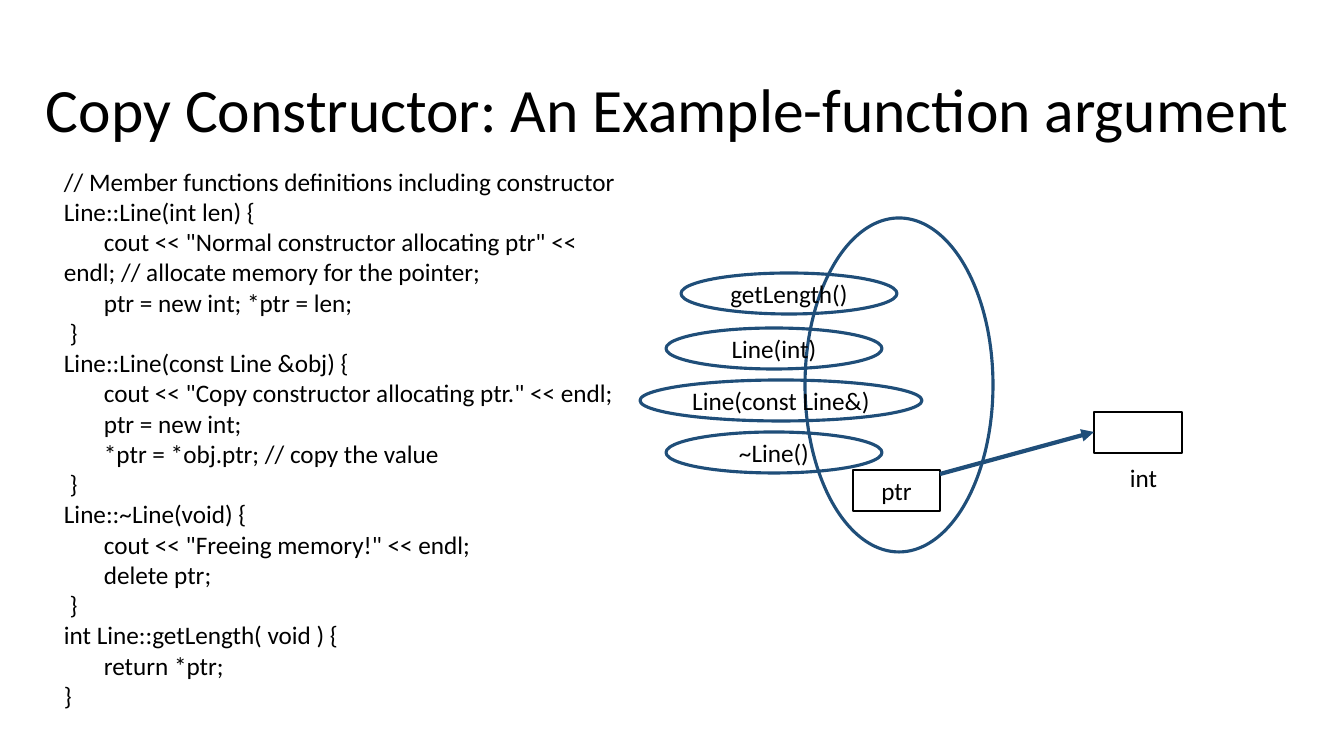
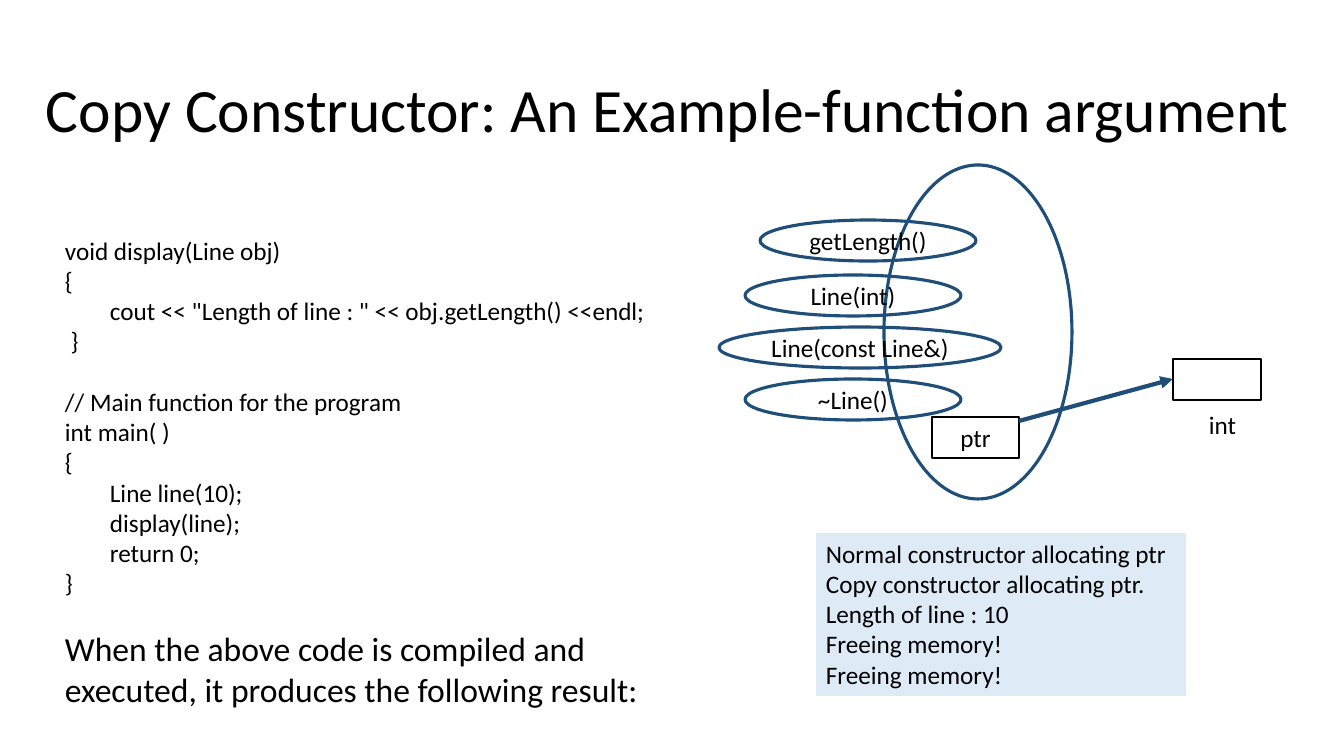
"""Build two slides that explain a copy constructor with code and an object diagram."""
from dataclasses import dataclass

from lxml import etree
from pptx import Presentation
from pptx.dml.color import RGBColor
from pptx.enum.shapes import MSO_CONNECTOR, MSO_SHAPE
from pptx.enum.text import MSO_ANCHOR, PP_ALIGN
from pptx.oxml.ns import qn
from pptx.shapes.autoshape import Shape
from pptx.slide import Slide
from pptx.util import Emu, Pt

OVAL, RECT = MSO_SHAPE.OVAL, MSO_SHAPE.RECTANGLE
STRAIGHT = MSO_CONNECTOR.STRAIGHT
LEFT, CENTER = PP_ALIGN.LEFT, PP_ALIGN.CENTER
TOP, MIDDLE = MSO_ANCHOR.TOP, MSO_ANCHOR.MIDDLE

EMU_PER_PX = 914400 / 100.8
FONT = "Calibri"
BLACK, NAVY, PALE = "000000", "1F4E79", "DEEBF7"
BODY_SIZE, NOTE_SIZE, TITLE_SIZE = 18, 24, 44
BLANK_LINE = 21.6
TITLE = "Copy Constructor: An Example-function argument"


@dataclass(frozen=True)
class Box:
    """A rectangle in pixels."""
    x: int
    y: int
    w: int
    h: int

    def moved(self, dx: int, dy: int) -> "Box":
        """Return the box shifted by an offset."""
        return Box(self.x + dx, self.y + dy, self.w, self.h)


@dataclass(frozen=True)
class Para:
    """A paragraph with its first-line indent in pixels and space before in points."""
    text: str
    indent: int = 0
    before: float = 0
    size: int = BODY_SIZE


@dataclass(frozen=True)
class Node:
    """An outlined or filled shape of the diagram."""
    box: Box
    kind: MSO_SHAPE
    text: str = ""
    line: str = NAVY
    weight: float = 2.25
    anchor: MSO_ANCHOR = MIDDLE


MEMBER_H = 41
NODES = [
    Node(Box(805, 218, 188, 334), OVAL),
    Node(Box(853, 470, 87, 41), RECT, "ptr", BLACK, 1.5, TOP),
    Node(Box(681, 273, 216, MEMBER_H), OVAL, "getLength()"),
    Node(Box(666, 328, 216, MEMBER_H), OVAL, "Line(int)"),
    Node(Box(640, 380, 282, MEMBER_H), OVAL, "Line(const Line&)"),
    Node(Box(666, 432, 216, MEMBER_H), OVAL, "~Line()"),
    Node(Box(1094, 412, 88, 41), RECT, "", BLACK, 1.5),
]
INT_LABEL = Box(1120, 457, 67, 40)
ARROW = Box(940, 474, 154, -42)

STEP = 40
MEMBER_CODE = [
    Para("// Member functions definitions including constructor"),
    Para("Line::Line(int len) {"),
    Para('cout << "Normal constructor allocating ptr" << endl; '
         "// allocate memory for the pointer;", STEP),
    Para("ptr = new int; *ptr = len;", STEP),
    Para(" }"),
    Para("Line::Line(const Line &obj) {"),
    Para('cout << "Copy constructor allocating ptr." << endl;', STEP),
    Para("ptr = new int;", STEP),
    Para("*ptr = *obj.ptr; // copy the value", STEP),
    Para(" }"),
    Para("Line::~Line(void) {"),
    Para('cout << "Freeing memory!" << endl;', STEP),
    Para("delete ptr;", STEP),
    Para(" }"),
    Para("int Line::getLength( void ) {"),
    Para("return *ptr;", STEP),
    Para("}"),
]

MAIN_STEP = 45
MAIN_CODE = [
    Para("void display(Line obj)"),
    Para("{"),
    Para('cout << "Length of line : " << obj.getLength() <<endl;', MAIN_STEP),
    Para(" }"),
    Para("// Main function for the program", before=BLANK_LINE),
    Para("int main( )"),
    Para("{"),
    Para("Line line(10);", MAIN_STEP),
    Para("display(line);", MAIN_STEP),
    Para("return 0;", MAIN_STEP),
    Para("}"),
    Para("When the above code is compiled and executed, "
         "it produces the following result:", before=BLANK_LINE, size=NOTE_SIZE),
]
OUTPUT = [
    Para("Normal constructor allocating ptr"),
    Para("Copy constructor allocating ptr."),
    Para("Length of line : 10"),
    Para("Freeing memory!"),
    Para("Freeing memory!"),
]


def px(value: int) -> Emu:
    """Convert pixels to EMU."""
    return Emu(round(value * EMU_PER_PX))


def rgb(value: str) -> RGBColor:
    """Convert a hex string to a colour."""
    return RGBColor.from_string(value)


def place(box: Box) -> tuple[Emu, Emu, Emu, Emu]:
    """Return the left, top, width and height of a box in EMU."""
    return px(box.x), px(box.y), px(box.w), px(box.h)


def write(sp: Shape, paras: list[Para], align: PP_ALIGN = LEFT,
          anchor: MSO_ANCHOR = TOP, wrap: bool = True, spacing: float = 1.0) -> None:
    """Fill a shape with formatted paragraphs."""
    tf = sp.text_frame
    tf.text = "\n".join(para.text for para in paras)
    tf.word_wrap = wrap
    tf.vertical_anchor = anchor
    for p, para in zip(tf.paragraphs, paras):
        p.alignment = align
        p.line_spacing = spacing
        p.space_before = Pt(para.before)
        if para.indent:
            pPr = p._p.get_or_add_pPr()
            pPr.set("marL", "0")
            pPr.set("indent", str(px(para.indent)))
        for r in p.runs:
            r.font.name = FONT
            r.font.size = Pt(para.size)
            r.font.color.rgb = rgb(BLACK)


def add_text(s: Slide, box: Box, paras: list[Para], anchor: MSO_ANCHOR = TOP,
             spacing: float = 1.0) -> None:
    """Add a wrapping text box."""
    write(s.shapes.add_textbox(*place(box)), paras, anchor=anchor, spacing=spacing)


def add_node(s: Slide, node: Node, dx: int, dy: int) -> None:
    """Add an outlined shape with an optional centred label."""
    sp = s.shapes.add_shape(node.kind, *place(node.box.moved(dx, dy)))
    sp.shadow.inherit = False
    sp.fill.background()
    sp.line.color.rgb = rgb(node.line)
    sp.line.width = Pt(node.weight)
    if node.text:
        write(sp, [Para(node.text)], CENTER, node.anchor, wrap=False)


def add_arrow(s: Slide, box: Box) -> None:
    """Add an arrow from the start of a box to its opposite corner."""
    cxn = s.shapes.add_connector(STRAIGHT, px(box.x), px(box.y),
                                 px(box.x + box.w), px(box.y + box.h))
    cxn.line.color.rgb = rgb(NAVY)
    cxn.line.width = Pt(3)
    etree.SubElement(cxn.line._get_or_add_ln(), qn("a:tailEnd"), type="triangle")
    etree.SubElement(cxn._element.spPr, qn("a:effectLst"))


def add_diagram(s: Slide, dx: int = 0, dy: int = 0) -> None:
    """Draw the Line object, its members and the integer it points to."""
    for node in NODES:
        add_node(s, node, dx, dy)
    add_text(s, INT_LABEL.moved(dx, dy), [Para("int")])
    add_arrow(s, ARROW.moved(dx, dy))


def add_output(s: Slide, box: Box, paras: list[Para]) -> None:
    """Add the filled panel that shows the program output."""
    sp = s.shapes.add_shape(RECT, *place(box))
    sp.shadow.inherit = False
    sp.fill.solid()
    sp.fill.fore_color.rgb = rgb(PALE)
    sp.line.fill.background()
    write(sp, paras, wrap=False)


def add_slide(prs: Presentation, code_box: Box, code: list[Para]) -> Slide:
    """Add a blank slide with the shared title and a code column."""
    s = prs.slides.add_slide(prs.slide_layouts[6])
    add_text(s, Box(36, 40, 1271, 146), [Para(TITLE, size=TITLE_SIZE)], MIDDLE, 0.9)
    add_text(s, code_box, code)
    return s


def main() -> None:
    """Build and save the presentation."""
    prs = Presentation()
    prs.slide_width, prs.slide_height = px(1344), px(756)

    members = add_slide(prs, Box(54, 161, 600, 480), MEMBER_CODE)
    add_diagram(members)

    program = add_slide(prs, Box(55, 230, 640, 480), MAIN_CODE)
    add_diagram(program, 79, -53)
    add_output(program, Box(816, 533, 370, 163), OUTPUT)

    prs.save("out.pptx")


main()
